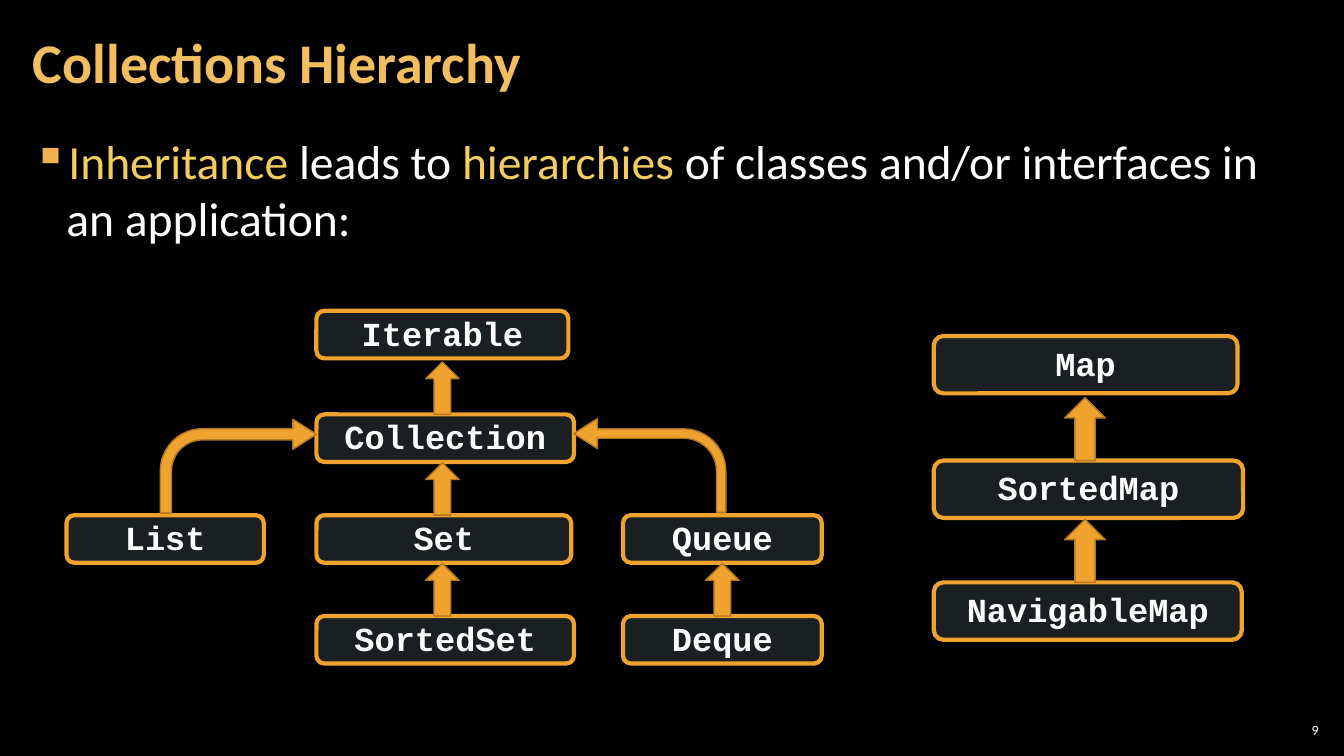
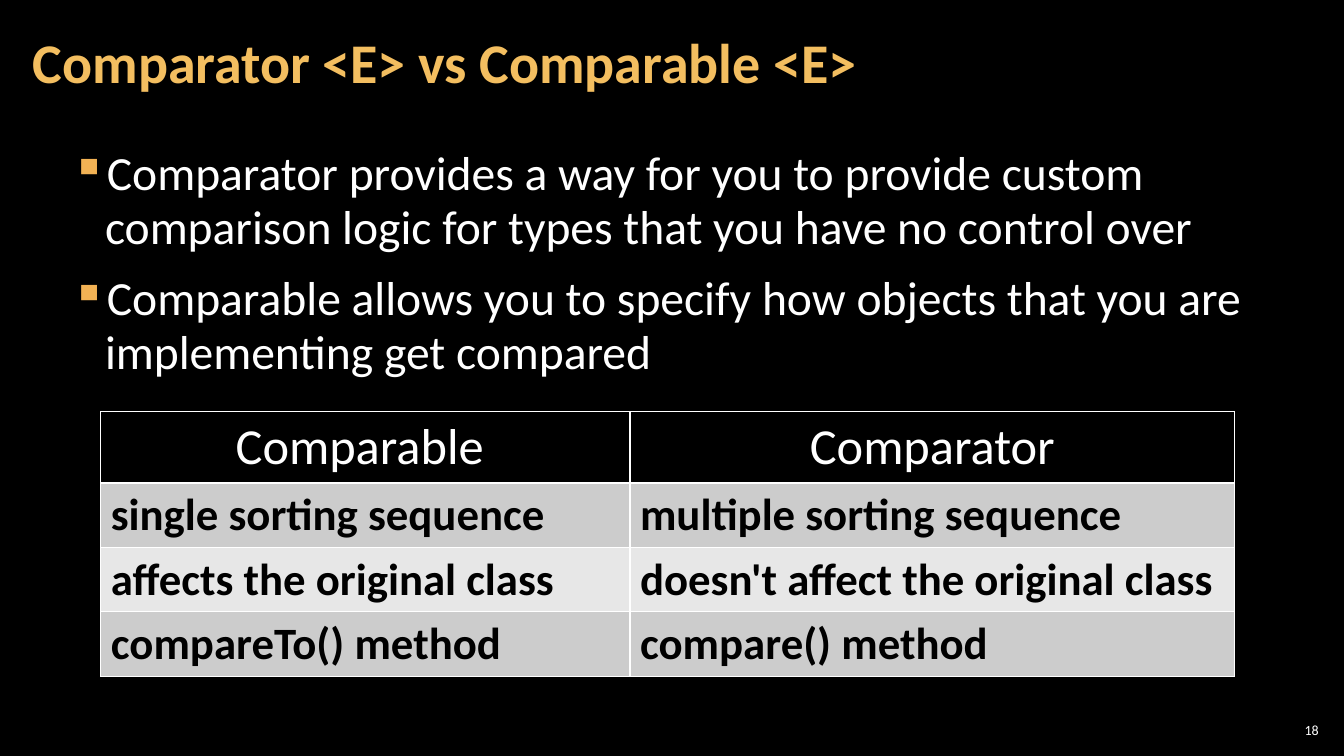
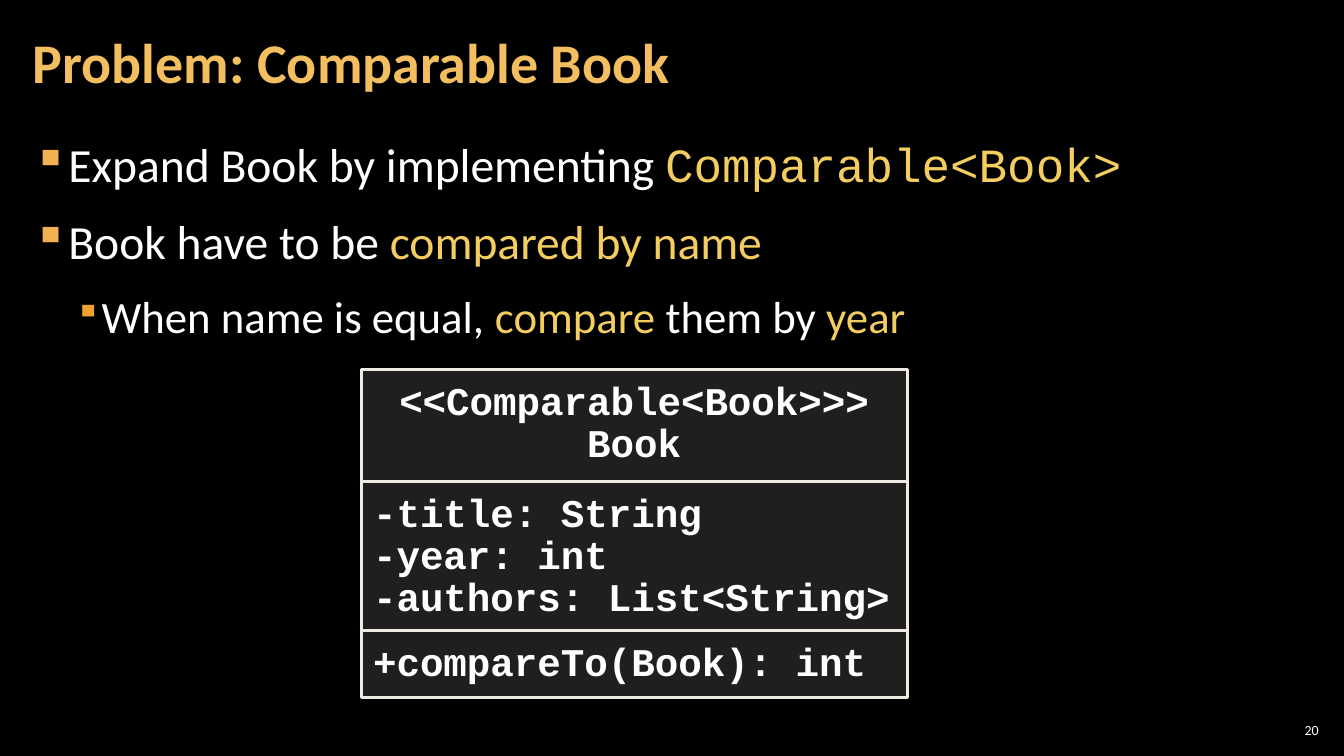
from dataclasses import dataclass

import lxml.etree
import pptx
import pptx.dml.color
import pptx.enum.shapes
import pptx.enum.text
import pptx.oxml.ns
import pptx.util

Pt = pptx.util.Pt
qn = pptx.oxml.ns.qn
Shape = pptx.enum.shapes.MSO_SHAPE
Align = pptx.enum.text.PP_ALIGN
Anchor = pptx.enum.text.MSO_ANCHOR


@dataclass(frozen=True)
class Theme:
    back: str = "000000"
    text: str = "FFFFFF"
    dark: str = "000000"
    title: str = "F3BE60"
    accent: str = "F3CD60"
    bullets: tuple = ("F2B254", "F0A22E")
    amber: str = "F0A22E"
    brown: str = "B27822"
    node: str = "B5DBE5"
    card: str = "D9D5C7"
    edge: str = "ECEAE3"
    bands: tuple = ("CCCCCC", "E7E7E7")
    sans: str = "Calibri"
    mono: str = "Courier New"
    head: int = 40
    body: tuple = (34, 32)
    cells: tuple = (36, 32)
    label: int = 24
    code: int = 28
    foot: int = 10


T = Theme()
WIDE = (15, 91, 930, 438)


def rgb(code):
    return pptx.dml.color.RGBColor.from_string(code)


def style(font, size, color, name=T.sans, bold=False):
    font.size, font.name, font.bold = Pt(size), name, bold
    font.color.rgb = rgb(color)


def frame(shape, pads, anchor, wrap=True):
    area = shape.text_frame
    area.word_wrap, area.vertical_anchor = wrap, anchor
    area.margin_left = area.margin_right = Pt(pads[0])
    area.margin_top = area.margin_bottom = Pt(pads[1])
    return area


def textbox(slide, box, pads, anchor):
    return frame(slide.shapes.add_textbox(*map(Pt, box)), pads, anchor)


def write(area, lines, align, space, *look):
    """Fill a text frame with equally styled paragraphs."""
    for i, line in enumerate(lines):
        para = area.add_paragraph() if i else area.paragraphs[0]
        para.text, para.alignment, para.line_spacing = line, align, space
        style(para.font, *look)


def solid(slide, kind, box, fill, line, width, alpha=None):
    shape = slide.shapes.add_shape(kind, *map(Pt, box))
    shape.shadow.inherit = False
    shape.fill.solid()
    shape.fill.fore_color.rgb = rgb(fill)
    if alpha:
        color = shape._element.spPr.find(".//" + qn("a:srgbClr"))
        lxml.etree.SubElement(color, qn("a:alpha"), val=str(alpha * 1000))
    shape.line.color.rgb = rgb(line)
    shape.line.width = Pt(width)
    return shape


def base(deck, title, number):
    """Add a slide with its background, title and page number."""
    slide = deck.slides.add_slide(deck.slide_layouts[6])
    slide.background.fill.solid()
    slide.background.fill.fore_color.rgb = rgb(T.back)
    area = textbox(slide, (15, 3, 754, 87), (8.5, 3), Anchor.MIDDLE)
    write(area, [title], Align.LEFT, 0.9, T.head, T.title, T.sans, True)
    area = textbox(slide, (911, 514, 34, 15), (3, 3), Anchor.MIDDLE)
    write(area, [str(number)], Align.RIGHT, 1.0, T.foot, T.text)
    return slide


def bullet(para, level):
    props = para._p.get_or_add_pPr()
    left, hang = ((24, 24), (48, 18))[level]
    props.set("marL", str(Pt(left)))
    props.set("indent", str(-Pt(hang)))
    color = lxml.etree.SubElement(props, qn("a:buClr"))
    lxml.etree.SubElement(color, qn("a:srgbClr"), val=T.bullets[level])
    size = (100000, 80000)[level]
    lxml.etree.SubElement(props, qn("a:buSzPct"), val=str(size))
    lxml.etree.SubElement(props, qn("a:buChar"), char="▪")


def body(slide, box, space, items):
    """Write bullets of (level, text, accent font); bars enclose accents."""
    area = textbox(slide, box, (8.5, 3.5), Anchor.TOP)
    for i, (level, text, face) in enumerate(items):
        para = area.add_paragraph() if i else area.paragraphs[0]
        para.level, para.line_spacing = level, space
        para.space_before = para.space_after = Pt(6)
        bullet(para, level)
        style(para.font, T.body[level], T.text)
        for j, piece in enumerate(text.split("|")):
            if piece:
                run = para.add_run()
                run.text = piece
                if j % 2:
                    run.font.color.rgb = rgb(T.accent)
                    run.font.name = face


def tower(slide, left, top, high, axis, arrow, nodes):
    """Stack nodes of (name, drop, width), each with an arrow to the one above."""
    wide, tall = arrow
    for i, (name, drop, width) in enumerate(nodes):
        y = top + drop
        node = solid(slide, Shape.ROUNDED_RECTANGLE, (left, y, width, high),
                     T.node, T.amber, 3, 15)
        area = frame(node, (7, 3.5), Anchor.MIDDLE, False)
        write(area, [name], Align.CENTER, 0.95, T.label, T.text, T.mono, True)
        if i:
            solid(slide, Shape.UP_ARROW,
                  (left + axis - wide / 2, y - tall, wide, tall),
                  T.amber, T.brown, 1)


def bend(slide, box, stem, flip=False):
    arrow = solid(slide, Shape.BENT_ARROW, box, T.amber, T.brown, 1)
    for i, value in enumerate((stem, 0.16, 0.25, 0.45)):
        arrow.adjustments[i] = value
    if flip:
        arrow._element.spPr.xfrm.set("flipH", "1")


def border(cell, color, width):
    props = cell._tc.get_or_add_tcPr()
    for side in "LRTB":
        line = lxml.etree.SubElement(props, qn("a:ln" + side), w=str(Pt(width)))
        fill = lxml.etree.SubElement(line, qn("a:solidFill"))
        lxml.etree.SubElement(fill, qn("a:srgbClr"), val=color)


def grid(slide, left, top, widths, heights, rows):
    size = (len(rows), len(widths))
    box = (left, top, sum(widths), sum(heights))
    table = slide.shapes.add_table(*size, *map(Pt, box)).table
    for column, width in zip(table.columns, widths):
        column.width = Pt(width)
    for i, texts in enumerate(rows):
        table.rows[i].height = Pt(heights[i])
        if i:
            fill, align = T.bands[(i - 1) % 2], Align.LEFT
            look = (T.cells[1], T.dark, T.sans, True)
        else:
            fill, align = T.back, Align.CENTER
            look = (T.cells[0], T.text)
        for j, text in enumerate(texts):
            cell = table.cell(i, j)
            border(cell, T.text, 1)
            cell.fill.solid()
            cell.fill.fore_color.rgb = rgb(fill)
            write(cell.text_frame, [text], align, 1.0, *look)


def card(slide, left, top, width, parts):
    """Stack class diagram compartments of (height, alignment, lines)."""
    for high, align, lines in parts:
        shape = solid(slide, Shape.RECTANGLE, (left, top, width, high),
                      T.card, T.edge, 2, 15)
        area = frame(shape, (8.5, 8.5), Anchor.TOP)
        write(area, lines, align, Pt(30), T.code, T.text, T.mono, True)
        top += high


def hierarchy(deck):
    slide = base(deck, "Collections Hierarchy", 9)
    body(slide, WIDE, 1.0, [
        (0, "|Inheritance| leads to |hierarchies| of classes and/or "
            "interfaces in an application:", T.sans)])
    small, large = (24, 37.5), (29, 45)
    tower(slide, 47.5, 368, 34, 71, small, [("List", 0, 141)])
    tower(slide, 226, 222, 34, 90, small, [
        ("Iterable", 0, 180), ("Collection", 74, 184),
        ("Set", 146, 182), ("SortedSet", 218, 184)])
    tower(slide, 445, 368, 34, 71, small, [
        ("Queue", 0, 142), ("Deque", 72, 142)])
    tower(slide, 667, 240, 41, 108, large, [
        ("Map", 0, 217), ("SortedMap", 89, 221), ("NavigableMap", 176, 220)])
    bend(slide, (114.5, 299.5, 111.5, 67), 0.12)
    bend(slide, (410, 299, 108.5, 67), 0.1, True)


def versus(deck):
    slide = base(deck, "Comparator <E> vs Comparable <E>", 18)
    body(slide, (42.5, 101.5, 868, 181), 0.95, [
        (0, "Comparator provides a way for you to provide custom comparison "
            "logic for types that you have no control over", T.sans),
        (0, "Comparable allows you to specify how objects that you are "
            "implementing get compared", T.sans)])
    grid(slide, 72, 294, (378, 432), (51, 46, 46, 46), [
        ("Comparable ", "Comparator"),
        ("single sorting sequence", "multiple sorting sequence"),
        ("affects the original class", "doesn't affect the original class"),
        ("compareTo() method", "compare() method")])


def problem(deck):
    slide = base(deck, "Problem: Comparable Book", 20)
    body(slide, WIDE, 1.05, [
        (0, "Expand Book by implementing |Comparable<Book>|", T.mono),
        (0, "Book have to be |compared by name|", T.sans),
        (1, "When name is equal, |compare| them by |year|", T.sans)])
    card(slide, 258, 264, 390, [
        (80, Align.CENTER, ["<<Comparable<Book>>>", "Book"]),
        (106.5, Align.LEFT,
         ["-title: String", "-year: int", "-authors: List<String>"]),
        (47.5, Align.LEFT, ["+compareTo(Book): int"])])


def main():
    deck = pptx.Presentation()
    deck.slide_width, deck.slide_height = Pt(960), Pt(540)
    for build in (hierarchy, versus, problem):
        build(deck)
    deck.save("out.pptx")


if __name__ == "__main__":
    main()
